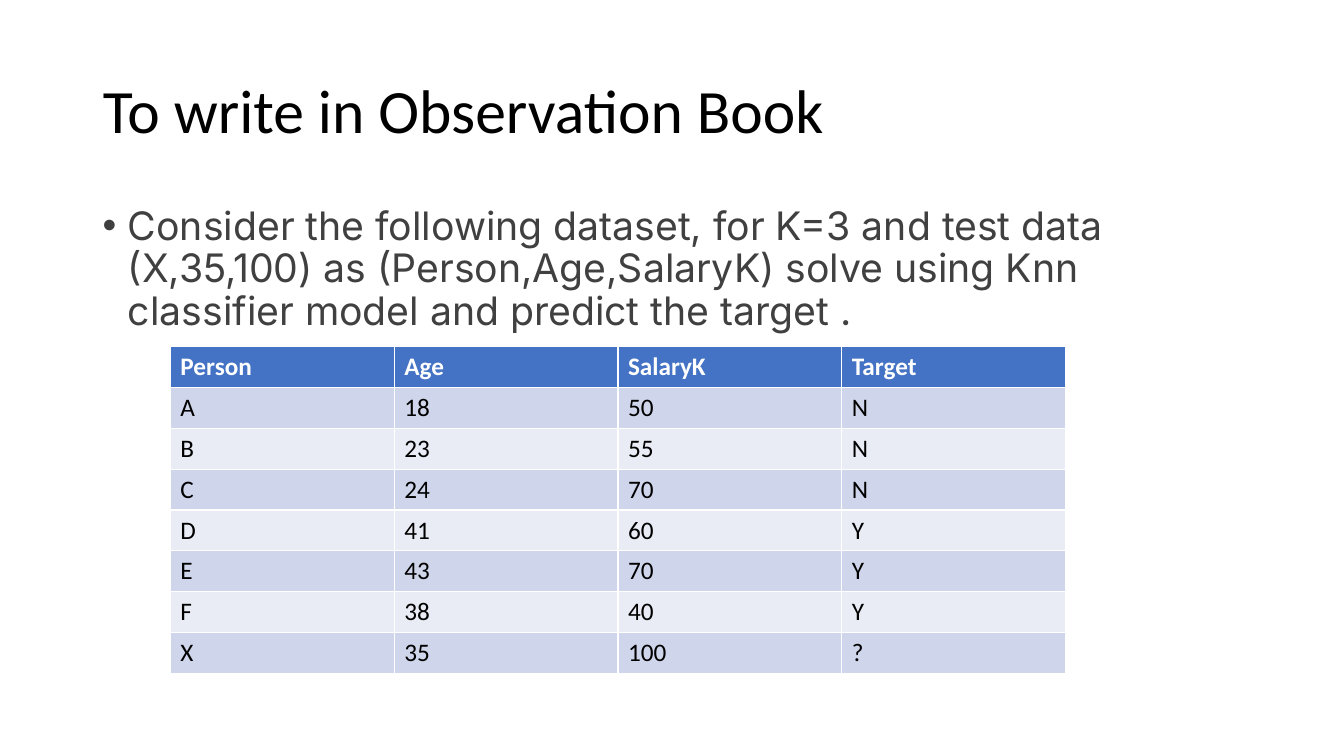
from lxml import etree
from pptx import Presentation
from pptx.dml.color import RGBColor
from pptx.enum.text import MSO_ANCHOR, MSO_AUTO_SIZE, PP_ALIGN
from pptx.oxml.ns import qn
from pptx.util import Inches, Pt

TITLE = "To write in Observation Book"
TASK = ("Consider the following dataset, for K=3 and test data (X,35,100) as "
        "(Person,Age,SalaryK) solve using Knn classifier model and predict the target .")
DATASET = [
    ("Person", "Age", "SalaryK", "Target"),
    ("A", "18", "50", "N"),
    ("B", "23", "55", "N"),
    ("C", "24", "70", "N"),
    ("D", "41", "60", "Y"),
    ("E", "43", "70", "Y"),
    ("F", "38", "40", "Y"),
    ("X", "35", "100", "?"),
]

BLACK = RGBColor(0x00, 0x00, 0x00)
WHITE = RGBColor(0xFF, 0xFF, 0xFF)
GREY = RGBColor(0x40, 0x40, 0x40)
HEADER_BLUE = RGBColor(0x44, 0x72, 0xC4)
BANDS = [RGBColor(0xE9, 0xEB, 0xF5), RGBColor(0xCF, 0xD5, 0xEA)]

LEFT, MIDDLE, TOP = PP_ALIGN.LEFT, MSO_ANCHOR.MIDDLE, MSO_ANCHOR.TOP
NO_AUTOFIT = MSO_AUTO_SIZE.NONE

SLIDE_W, SLIDE_H = Inches(13.33), Inches(7.5)
MARGIN = Inches(0.92)
CONTENT_W = SLIDE_W - 2 * MARGIN
TABLE_LEFT, TABLE_TOP = Inches(1.69), Inches(3.44)
COLUMN_W, ROW_H = Inches(2.22), Inches(0.405)
BULLET_INDENT = Inches(0.25)


def write(frame, text, *, size, color, font="Calibri", bold=False,
          line_spacing=None, bullet=None):
    frame.text = text
    paragraph = frame.paragraphs[0]
    paragraph.alignment = LEFT
    if line_spacing:
        paragraph.line_spacing = line_spacing
    if bullet:
        properties = paragraph._p.get_or_add_pPr()
        properties.set("marL", str(BULLET_INDENT))
        properties.set("indent", str(-BULLET_INDENT))
        etree.SubElement(properties, qn("a:buFont"), typeface="Arial")
        etree.SubElement(properties, qn("a:buChar"), char=bullet)
    style = paragraph.runs[0].font
    style.name, style.size, style.bold = font, Pt(size), bold
    style.color.rgb = color


def add_title(slide):
    title = slide.shapes.title
    title.left, title.top = MARGIN, Inches(0.4)
    title.width, title.height = CONTENT_W, Inches(1.45)
    frame = title.text_frame
    frame.auto_size, frame.vertical_anchor = NO_AUTOFIT, MIDDLE
    write(frame, TITLE, size=44, color=BLACK, line_spacing=0.9)


def add_task(slide):
    frame = slide.shapes.add_textbox(MARGIN, Inches(2), CONTENT_W, Inches(4.76)).text_frame
    frame.word_wrap, frame.vertical_anchor = True, TOP
    write(frame, TASK, size=28, color=GREY, font="Inter", line_spacing=0.9, bullet="•")


def add_dataset(slide):
    rows, columns = len(DATASET), len(DATASET[0])
    table = slide.shapes.add_table(rows, columns, TABLE_LEFT, TABLE_TOP,
                                   columns * COLUMN_W, rows * ROW_H).table
    for r, record in enumerate(DATASET):
        header = r == 0
        for c, value in enumerate(record):
            cell = table.cell(r, c)
            cell.fill.solid()
            cell.fill.fore_color.rgb = HEADER_BLUE if header else BANDS[r % 2]
            write(cell.text_frame, value, size=18, bold=header,
                  color=WHITE if header else BLACK)


def main():
    deck = Presentation()
    deck.slide_width, deck.slide_height = SLIDE_W, SLIDE_H
    slide = deck.slides.add_slide(deck.slide_layouts.get_by_name("Title Only"))
    add_title(slide)
    add_task(slide)
    add_dataset(slide)
    deck.save("out.pptx")


if __name__ == "__main__":
    main()
